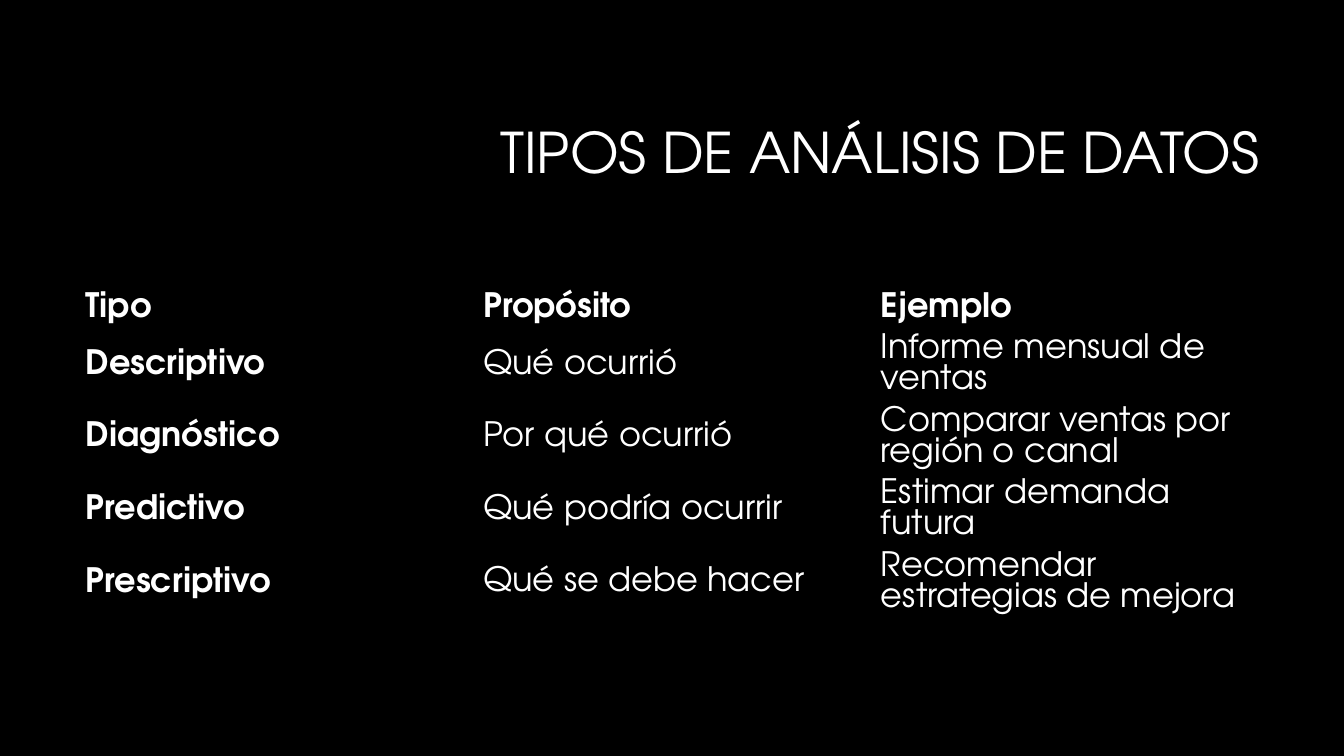
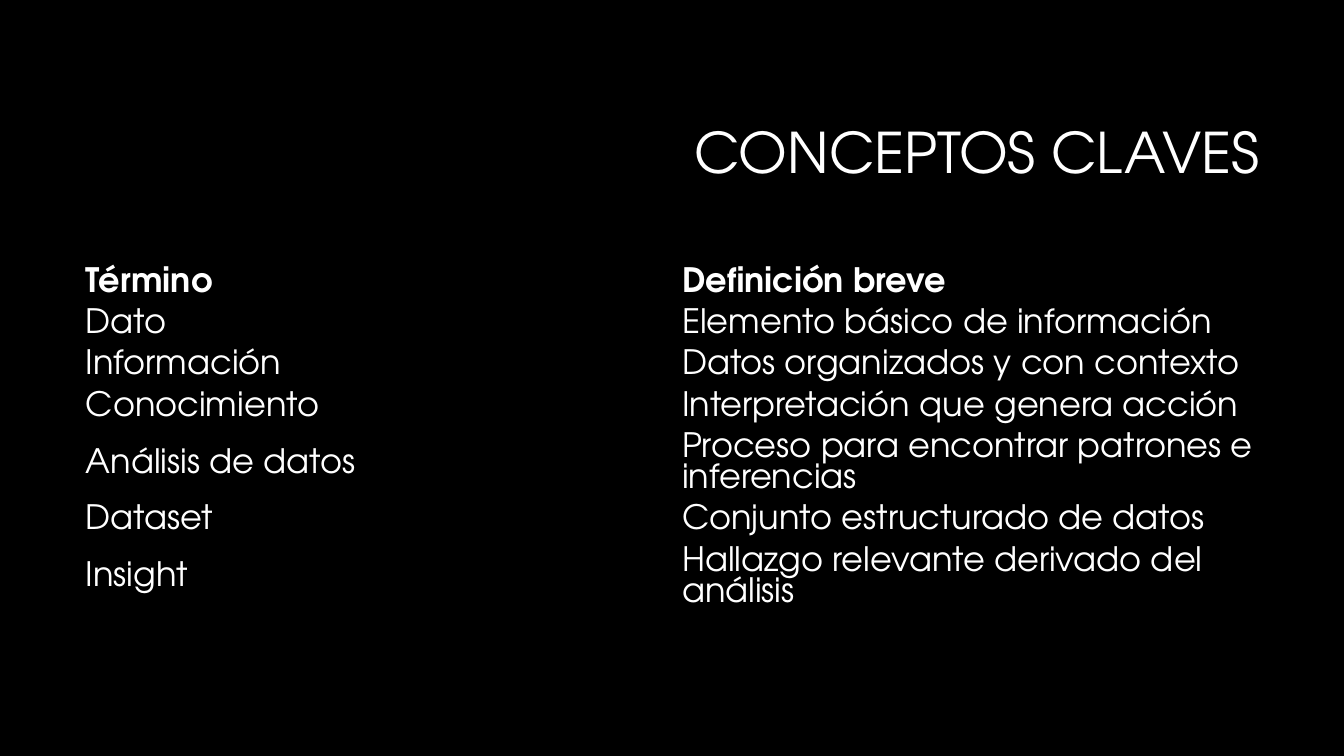
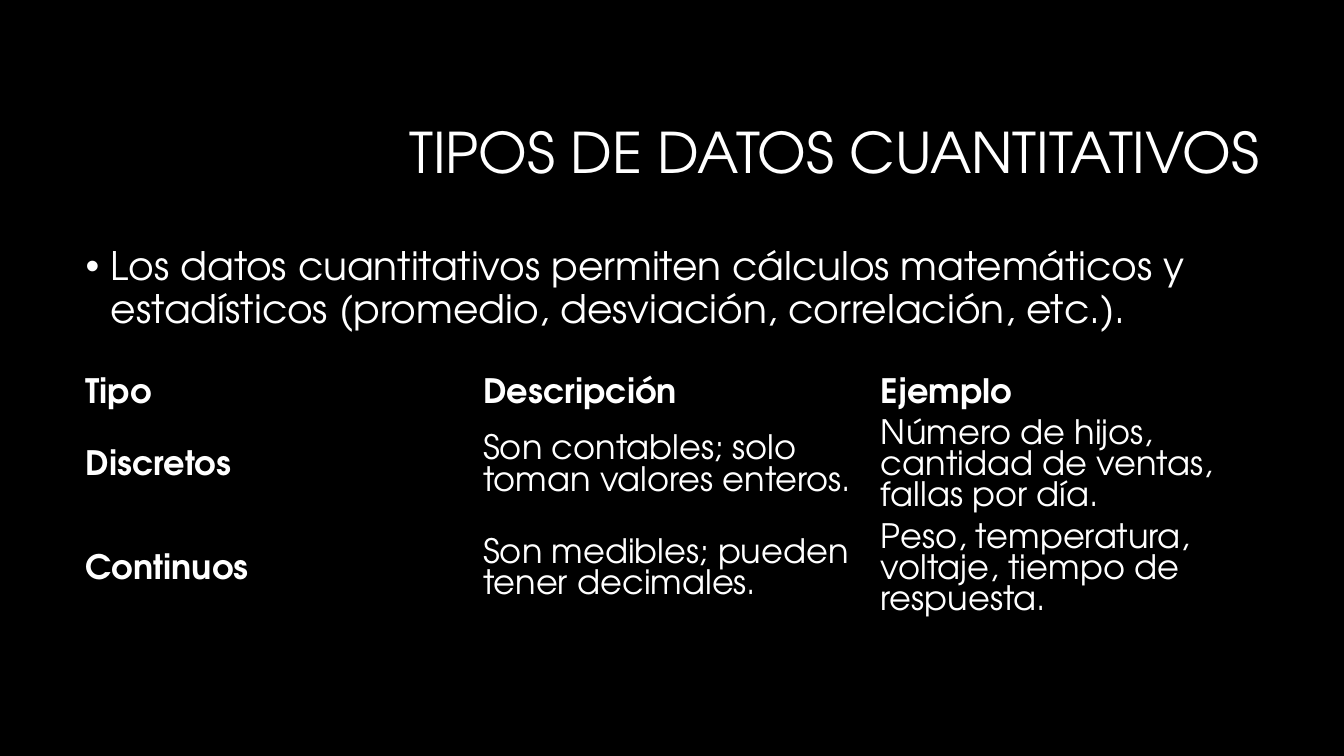
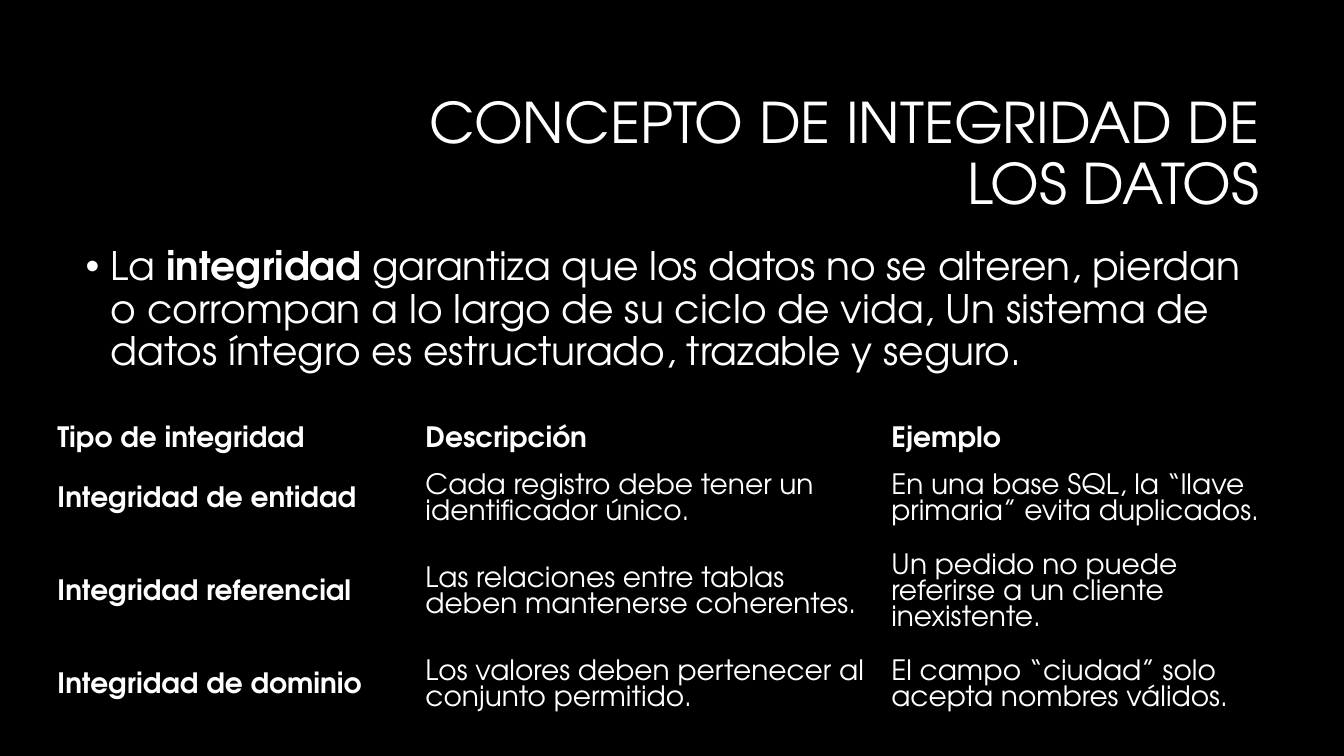
from dataclasses import dataclass

from lxml import etree
from pptx import Presentation
from pptx.dml.color import RGBColor
from pptx.enum import text as text_enum
from pptx.oxml import ns
from pptx.util import Inches, Pt


@dataclass(frozen=True)
class Theme:
    background: RGBColor = RGBColor(0, 0, 0)
    foreground: RGBColor = RGBColor(255, 255, 255)
    font: str = "TeX Gyre Adventor"
    title_size: int = 40
    body_size: int = 28
    table_size: int = 24
    small_table_size: int = 20
    line_spacing: float = 0.9
    table_leading: float = 0.93  # line pitch as a share of the type size


THEME = Theme()
MIDDLE = text_enum.MSO_ANCHOR.MIDDLE
NO_GRID_STYLE = "{2D5ABB26-0587-4C30-8999-92F81FD0307C}"
LEFT, WIDTH = 0.75, 11.83
ROW_HEIGHTS = {1: 0.41, 2: 0.72, 3: 1.03}  # by number of text lines


def set_attributes(target, values):
    for name, value in values.items():
        setattr(target, name, value)


def format_font(font, size, bold=False):
    set_attributes(font, {"name": THEME.font, "size": Pt(size), "bold": bold})
    font.color.rgb = THEME.foreground


def place(shape, left, top, width, height):
    set_attributes(shape, {
        "left": Inches(left), "top": Inches(top),
        "width": Inches(width), "height": Inches(height),
    })


def add_titled_slide(presentation, title_text):
    slide = presentation.slides.add_slide(presentation.slide_layouts[5])
    title = slide.shapes.title
    place(title, 3.17, 0.84, 9.42, 1.41)
    frame = title.text_frame
    frame.text = title_text
    set_attributes(frame, {
        "word_wrap": True,
        "auto_size": text_enum.MSO_AUTO_SIZE.NONE,
        "vertical_anchor": MIDDLE,
    })
    paragraph = frame.paragraphs[0]
    set_attributes(paragraph, {
        "alignment": text_enum.PP_ALIGN.RIGHT,
        "line_spacing": THEME.line_spacing,
    })
    format_font(paragraph.runs[0].font, THEME.title_size)
    return slide


def add_bullet_text(slide, height, segments):
    """Add one bulleted paragraph from (text, bold) segments."""
    box = slide.shapes.add_textbox(
        Inches(LEFT), Inches(2.4), Inches(WIDTH), Inches(height))
    box.text_frame.word_wrap = True
    paragraph = box.text_frame.paragraphs[0]
    properties = paragraph._p.get_or_add_pPr()
    properties.set("marL", str(Inches(0.25)))
    properties.set("indent", str(-Inches(0.25)))
    font = etree.SubElement(properties, ns.qn("a:buFont"))
    font.set("typeface", "Arial")
    bullet = etree.SubElement(properties, ns.qn("a:buChar"))
    bullet.set("char", "•")
    paragraph.line_spacing = THEME.line_spacing
    for content, bold in segments:
        run = paragraph.add_run()
        run.text = content
        format_font(run.font, THEME.body_size, bold)


def fill_cell(cell, content, size, bold):
    cell.fill.background()
    cell.vertical_anchor = MIDDLE
    cell.text = content
    paragraph = cell.text_frame.paragraphs[0]
    paragraph.line_spacing = Pt(size * THEME.table_leading)
    format_font(paragraph.runs[0].font, size, bold)


def add_text_table(slide, top, rows, row_heights, left=LEFT,
                   column_widths=None, size=THEME.table_size,
                   bold_first_column=True):
    """Add a plain table with a bold header row; columns are equal by default."""
    count = len(rows[0])
    widths = column_widths or [WIDTH / count] * count
    frame = slide.shapes.add_table(
        len(rows), count, Inches(left), Inches(top),
        Inches(sum(widths)), Inches(sum(row_heights)))
    table = frame.table
    set_attributes(table, {"first_row": False, "horz_banding": False})
    table._tbl.tblPr.find(ns.qn("a:tableStyleId")).text = NO_GRID_STYLE
    for column, width in zip(table.columns, widths):
        column.width = Inches(width)
    for row, height in zip(table.rows, row_heights):
        row.height = Inches(height)
    for row_index, row in enumerate(rows):
        for column_index, content in enumerate(row):
            bold = row_index == 0 or (bold_first_column and column_index == 0)
            fill_cell(table.cell(row_index, column_index), content, size, bold)


def heights_for(*line_counts):
    return [ROW_HEIGHTS[lines] for lines in line_counts]


def build_analysis_types(presentation):
    slide = add_titled_slide(presentation, "TIPOS DE ANÁLISIS DE DATOS")
    add_text_table(slide, 2.85, [
        ("Tipo", "Propósito", "Ejemplo"),
        ("Descriptivo", "Qué ocurrió", "Informe mensual de ventas"),
        ("Diagnóstico", "Por qué ocurrió", "Comparar ventas por región o canal"),
        ("Predictivo", "Qué podría ocurrir", "Estimar demanda futura"),
        ("Prescriptivo", "Qué se debe hacer", "Recomendar estrategias de mejora"),
    ], heights_for(1, 2, 2, 2, 2))


def build_key_concepts(presentation):
    slide = add_titled_slide(presentation, "CONCEPTOS CLAVES")
    add_text_table(slide, 2.6, [
        ("Término", "Definición breve"),
        ("Dato", "Elemento básico de información"),
        ("Información", "Datos organizados y con contexto"),
        ("Conocimiento", "Interpretación que genera acción"),
        ("Análisis de datos", "Proceso para encontrar patrones e inferencias"),
        ("Dataset", "Conjunto estructurado de datos"),
        ("Insight", "Hallazgo relevante derivado del análisis"),
    ], heights_for(1, 1, 1, 1, 2, 1, 2), bold_first_column=False)


def build_quantitative_types(presentation):
    slide = add_titled_slide(presentation, "TIPOS DE DATOS CUANTITATIVOS")
    add_bullet_text(slide, 1.02, [
        ("Los datos cuantitativos permiten cálculos matemáticos y estadísticos "
         "(promedio, desviación, correlación, etc.).", False),
    ])
    add_text_table(slide, 3.7, [
        ("Tipo", "Descripción", "Ejemplo"),
        ("Discretos", "Son contables; solo toman valores enteros.",
         "Número de hijos, cantidad de ventas, fallas por día."),
        ("Continuos", "Son medibles; pueden tener decimales.",
         "Peso, temperatura, voltaje, tiempo de respuesta."),
    ], heights_for(1, 3, 3))


def build_integrity(presentation):
    slide = add_titled_slide(presentation, "CONCEPTO DE INTEGRIDAD DE LOS DATOS")
    add_bullet_text(slide, 1.35, [
        ("La ", False),
        ("integridad", True),
        (" garantiza que los datos no se alteren, pierdan o corrompan a lo largo "
         "de su ciclo de vida, Un sistema de datos íntegro es estructurado, "
         "trazable y seguro.", False),
    ])
    add_text_table(slide, 4.15, [
        ("Tipo de integridad", "Descripción", "Ejemplo"),
        ("Integridad de entidad",
         "Cada registro debe tener un identificador único.",
         "En una base SQL, la “llave primaria” evita duplicados."),
        ("Integridad referencial",
         "Las relaciones entre tablas deben mantenerse coherentes.",
         "Un pedido no puede referirse a un cliente inexistente."),
        ("Integridad de dominio",
         "Los valores deben pertenecer al conjunto permitido.",
         "El campo “ciudad” solo acepta nombres válidos."),
    ], [0.43, 0.76, 1.08, 0.76], left=0.47, column_widths=[3.65, 4.62, 4.13],
        size=THEME.small_table_size)


def main():
    presentation = Presentation()
    set_attributes(presentation, {
        "slide_width": Inches(13.33), "slide_height": Inches(7.5)})
    background = presentation.slide_master.background.fill
    background.solid()
    background.fore_color.rgb = THEME.background
    for build in (build_analysis_types, build_key_concepts,
                  build_quantitative_types, build_integrity):
        build(presentation)
    presentation.save("out.pptx")


if __name__ == "__main__":
    main()
